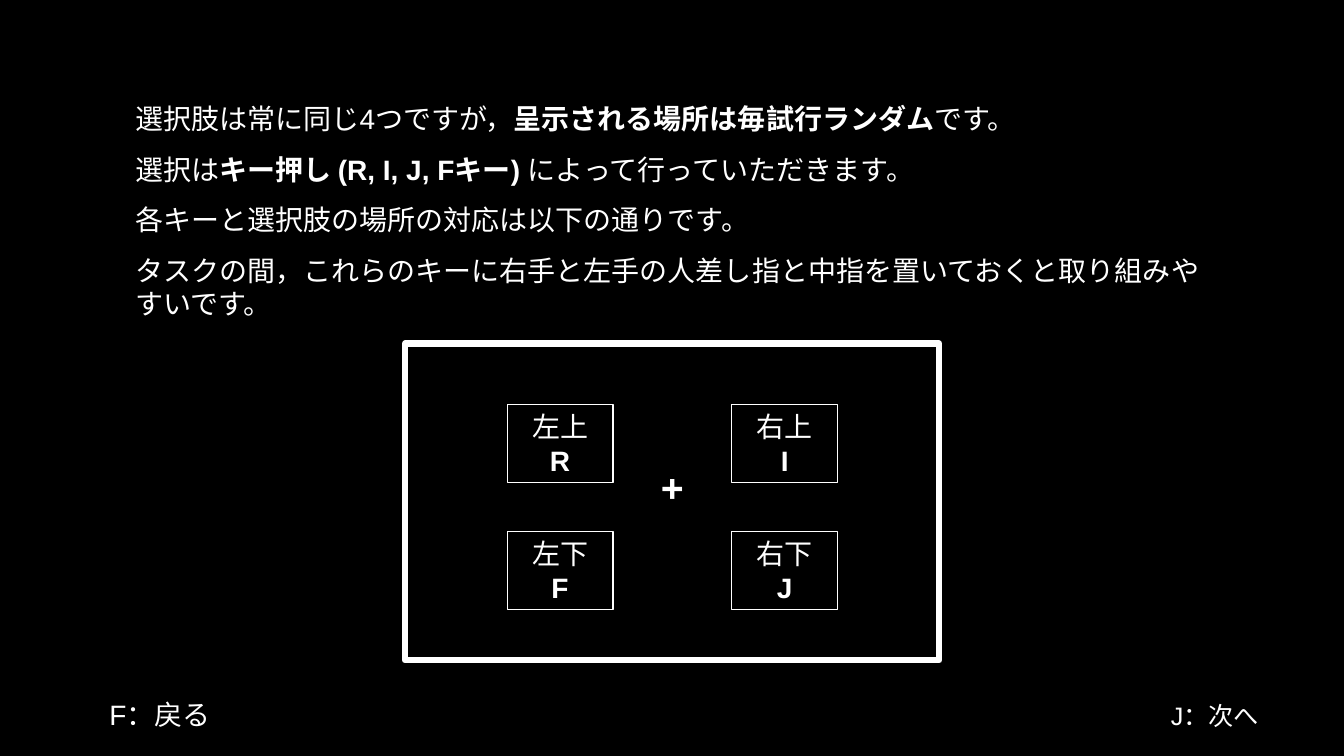
from typing import NamedTuple

from lxml import etree
from pptx import Presentation
from pptx import util as u
from pptx.dml.color import RGBColor
from pptx.enum import shapes, text
from pptx.oxml import ns

BLACK = RGBColor(0x00, 0x00, 0x00)
WHITE = RGBColor(0xFF, 0xFF, 0xFF)
FONT = "Arial"
CENTER = text.PP_ALIGN.CENTER
LEFT = text.PP_ALIGN.LEFT


class Span(NamedTuple):
    text: str
    bold: bool = False


class Label(NamedTuple):
    text: str
    left: float
    top: float
    width: float
    height: float
    size: int
    align: text.PP_ALIGN
    bold: bool = False


class KeyBox(NamedTuple):
    position: str
    key: str
    column: int
    row: int


INSTRUCTIONS = [
    [
        Span("選択肢は常に同じ4つですが，"),
        Span("呈示される場所は毎試行ランダム", True),
        Span("です。"),
    ],
    [
        Span("選択は"),
        Span("キー押し (R, I, J, Fキー) ", True),
        Span("によって行っていただきます。"),
    ],
    [Span("各キーと選択肢の場所の対応は以下の通りです。")],
    [Span("タスクの間，これらのキーに右手と左手の人差し指と中指を置いておくと取り組みやすいです。")],
]
LABELS = [
    Label("J：次へ", 29.26, 17.53, 2.9, 1.02, 18, LEFT),
    Label("F：戻る", 1.8, 17.45, 4.47, 1.12, 20, CENTER),
    Label("+", 16.21, 11.56, 1.47, 1.45, 28, CENTER, True),
]
KEY_BOXES = [
    KeyBox("左上", "R", 0, 0),
    KeyBox("左下", "F", 0, 1),
    KeyBox("右上", "I", 1, 0),
    KeyBox("右下", "J", 1, 1),
]
GRID_LEFT, GRID_TOP = 12.78, 10.19
COLUMN_STEP, ROW_STEP = 5.66, 3.2
KEY_WIDTH, KEY_HEIGHT = 2.67, 1.96


def format_run(run, size: int, bold: bool = False) -> None:
    run.font.name = FONT
    run.font.size = u.Pt(size)
    run.font.bold = bold
    run.font.color.rgb = WHITE


def fill_instructions(body) -> None:
    body.left, body.top = u.Cm(3.15), u.Cm(2.44)
    body.width, body.height = u.Cm(27.56), u.Cm(5.82)
    frame = body.text_frame
    frame.word_wrap = True
    frame.auto_size = text.MSO_AUTO_SIZE.NONE
    frame.vertical_anchor = text.MSO_ANCHOR.TOP
    frame.text = "\n".join("" for _ in INSTRUCTIONS)
    for paragraph, spans in zip(frame.paragraphs, INSTRUCTIONS):
        paragraph.alignment = LEFT
        paragraph.line_spacing = 1.0
        paragraph.space_before = u.Pt(0)
        paragraph.space_after = u.Pt(12)
        properties = paragraph._p.get_or_add_pPr()
        properties.set("marL", "0")
        properties.set("indent", "0")
        etree.SubElement(properties, ns.qn("a:buNone"))
        for span in spans:
            run = paragraph.add_run()
            run.text = span.text
            format_run(run, 20, span.bold)


def add_label(slide, label: Label) -> None:
    box = slide.shapes.add_textbox(
        u.Cm(label.left), u.Cm(label.top), u.Cm(label.width), u.Cm(label.height)
    )
    box.text_frame.word_wrap = False
    box.text_frame.text = label.text
    paragraph = box.text_frame.paragraphs[0]
    paragraph.alignment = label.align
    format_run(paragraph.runs[0], label.size, label.bold)


def add_frame(slide, left: float, top: float, width: float, height: float, line: float):
    shape = slide.shapes.add_shape(
        shapes.MSO_SHAPE.RECTANGLE, u.Cm(left), u.Cm(top), u.Cm(width), u.Cm(height)
    )
    shape.shadow.inherit = False
    shape.fill.background()
    shape.line.color.rgb = WHITE
    shape.line.width = u.Pt(line)
    return shape


def add_key_box(slide, key_box: KeyBox) -> None:
    shape = add_frame(
        slide,
        GRID_LEFT + key_box.column * COLUMN_STEP,
        GRID_TOP + key_box.row * ROW_STEP,
        KEY_WIDTH,
        KEY_HEIGHT,
        0.75,
    )
    shape.text_frame.text = f"{key_box.position}\n{key_box.key}"
    for paragraph, bold in zip(shape.text_frame.paragraphs, (False, True)):
        paragraph.alignment = CENTER
        format_run(paragraph.runs[0], 20, bold)


def main() -> None:
    presentation = Presentation()
    presentation.slide_width = u.Cm(33.87)
    presentation.slide_height = u.Cm(19.05)
    slide = presentation.slides.add_slide(presentation.slide_layouts[1])
    slide.background.fill.solid()
    slide.background.fill.fore_color.rgb = BLACK
    title = slide.shapes.title.element
    title.getparent().remove(title)

    fill_instructions(slide.placeholders[1])
    add_frame(slide, 10.21, 8.66, 13.46, 7.98, 4.5)
    for key_box in KEY_BOXES:
        add_key_box(slide, key_box)
    for label in LABELS:
        add_label(slide, label)
    presentation.save("out.pptx")


if __name__ == "__main__":
    main()
